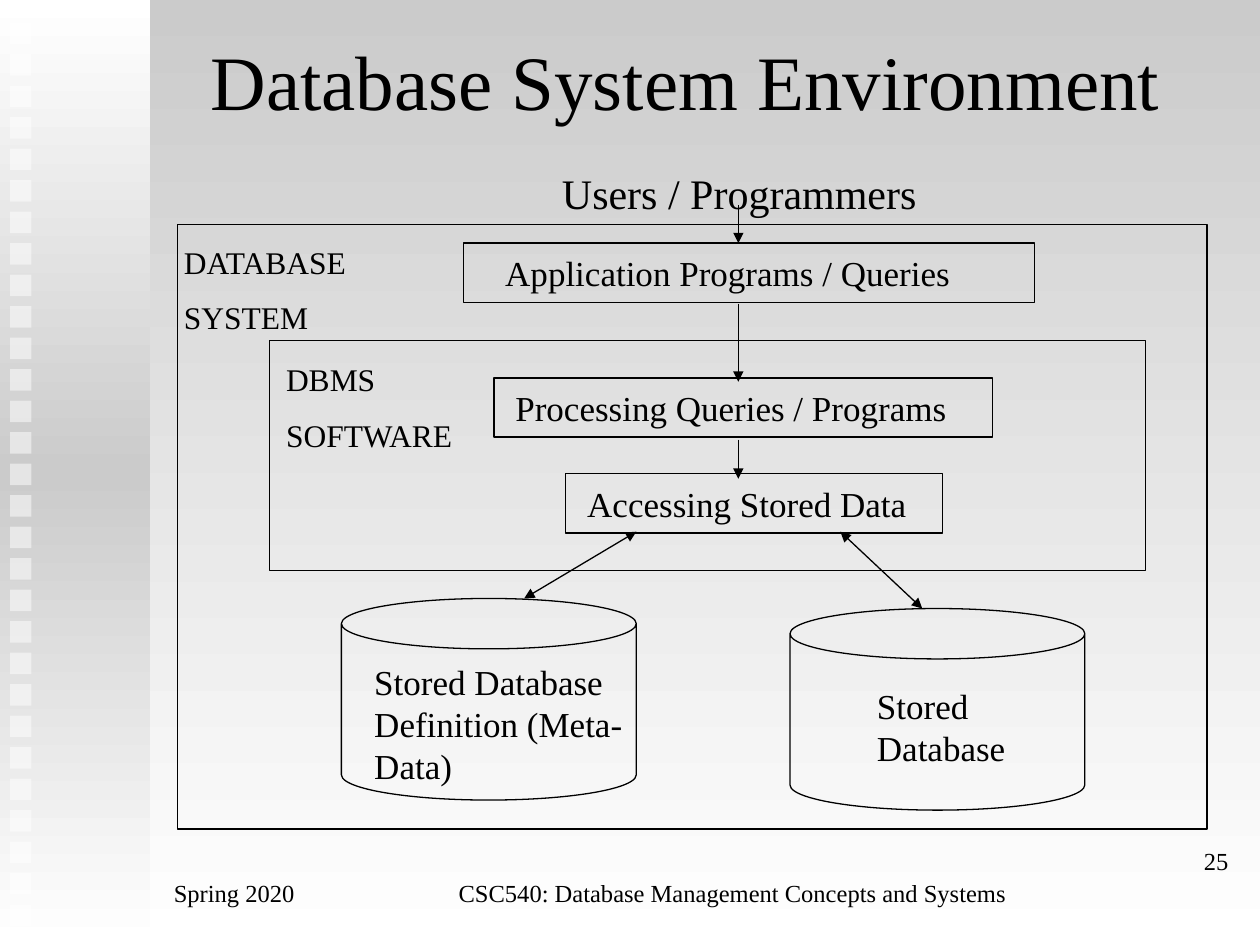
from copy import deepcopy

from lxml.etree import SubElement
from pptx import Presentation
from pptx.dml.color import RGBColor
from pptx.enum.shapes import MSO_CONNECTOR, MSO_SHAPE
from pptx.enum.text import MSO_ANCHOR, PP_ALIGN
from pptx.oxml.ns import qn
from pptx.util import Inches, Pt

COLORS = {"ink": "000000", "gray": "CBCBCB", "white": "FFFFFF"}
FONT = "Times New Roman"


def add_outline(kind, left, top, width, height):
    """Add an unfilled shape with a thin dark outline."""
    shape = slide.shapes.add_shape(
        kind, Inches(left), Inches(top), Inches(width), Inches(height))
    shape.shadow.inherit = False
    shape.fill.background()
    shape.line.color.rgb = RGBColor.from_string(COLORS["ink"])
    shape.line.width = Pt(0.75)
    return shape


def write(box, lines, size, anchor=MSO_ANCHOR.TOP, inset=0.05,
          align=PP_ALIGN.LEFT, gap=0):
    """Fill a shape with one paragraph per line."""
    frame = box.text_frame
    frame.word_wrap = True
    frame.vertical_anchor = anchor
    frame.margin_left = Inches(inset)
    frame.margin_right = frame.margin_top = frame.margin_bottom = 0
    for index, line in enumerate(lines):
        para = frame.add_paragraph() if index else frame.paragraphs[0]
        para.alignment = align
        if index:
            para.space_before = Pt(gap)
        span = para.add_run()
        span.text = line
        span.font.name = FONT
        span.font.size = Pt(size)
        span.font.color.rgb = RGBColor.from_string(COLORS["ink"])


deck = Presentation()
deck.slide_width, deck.slide_height = Inches(10), Inches(7.5)
slide = deck.slides.add_slide(deck.slide_layouts[5])

# Background and side band
background = slide.background.fill
background.gradient()
background.gradient_angle = 270
for stop, name in zip(background.gradient_stops, ("gray", "white")):
    stop.color.rgb = RGBColor.from_string(COLORS[name])

band = add_outline(MSO_SHAPE.RECTANGLE, 0, 0, 1.19, 7.5)
band.line.fill.background()
band.fill.gradient()
band.fill.gradient_angle = 270
stop_list = band._element.spPr.find(".//" + qn("a:gsLst"))
middle_stop = deepcopy(stop_list[0])
middle_stop.set("pos", "50000")
stop_list.insert(1, middle_stop)
for stop, name in zip(band.fill.gradient_stops, ("white", "gray", "white")):
    stop.color.rgb = RGBColor.from_string(COLORS[name])

for row in range(29):
    square = add_outline(MSO_SHAPE.RECTANGLE, 0.08, 0.18 + 0.25 * row, 0.17, 0.17)
    square.line.fill.background()
    square.fill.solid()
    square.fill.fore_color.rgb = RGBColor.from_string(COLORS["white"])
    tint = square._element.spPr.find(".//" + qn("a:srgbClr"))
    SubElement(tint, qn("a:alpha"), val="50000")

# Title
title = slide.shapes.title
title.left, title.top = Inches(1.67), Inches(0.17)
title.width, title.height = Inches(8), Inches(0.92)
write(title, ["Database System Environment"], 44, MSO_ANCHOR.MIDDLE, inset=0)

# Frames of the database system and the DBMS software
add_outline(MSO_SHAPE.RECTANGLE, 1.41, 1.78, 8.17, 4.8)
add_outline(MSO_SHAPE.RECTANGLE, 2.14, 2.7, 6.95, 1.83)

# Processing steps
for text, left, top, width, inset in (
    ("Application Programs / Queries", 3.68, 1.93, 4.53, 0.33),
    ("Processing Queries / Programs", 3.92, 3, 3.96, 0.17),
    ("Accessing Stored Data", 4.49, 3.76, 2.99, 0.17),
):
    step = add_outline(MSO_SHAPE.RECTANGLE, left, top, width, 0.47)
    write(step, [text], 20, MSO_ANCHOR.MIDDLE, inset)

# Stores
for left, top in ((2.71, 4.75), (6.27, 4.83)):
    add_outline(MSO_SHAPE.CAN, left, top, 2.34, 1.6)

# Free-standing labels
for lines, size, left, top, width, height in (
    (["Users / Programmers"], 24, 4.41, 1.33, 3.48, 0.4),
    (["DATABASE", "SYSTEM"], 18, 1.41, 1.93, 1.62, 0.76),
    (["DBMS", "SOFTWARE"], 18, 2.22, 2.86, 1.62, 0.76),
    (["Stored Database Definition (Meta-Data)"], 20, 2.92, 5.24, 2.08, 1),
    (["Stored Database"], 20, 6.91, 5.43, 1.45, 0.67),
):
    label = slide.shapes.add_textbox(
        Inches(left), Inches(top), Inches(width), Inches(height))
    write(label, lines, size, gap=10)

# Footer
for text, left, top, width, align in (
    ("25", 9.08, 6.68, 0.67, PP_ALIGN.RIGHT),
    ("Spring 2020", 1.38, 6.93, 1.5, PP_ALIGN.LEFT),
    ("CSC540: Database Management Concepts and Systems", 3.64, 6.93, 5.5,
     PP_ALIGN.LEFT),
):
    footer = slide.shapes.add_textbox(
        Inches(left), Inches(top), Inches(width), Inches(0.31))
    write(footer, [text], 14, MSO_ANCHOR.MIDDLE, 0, align)

# Arrows
for x1, y1, x2, y2, ends in (
    (5.86, 1.63, 5.86, 1.93, ["tailEnd"]),
    (5.86, 2.41, 5.86, 3.03, ["tailEnd"]),
    (5.86, 3.49, 5.86, 3.8, ["tailEnd"]),
    (5.05, 4.22, 4.16, 4.75, ["headEnd", "tailEnd"]),
    (6.67, 4.22, 7.32, 4.83, ["headEnd", "tailEnd"]),
):
    arrow = slide.shapes.add_connector(
        MSO_CONNECTOR.STRAIGHT, Inches(x1), Inches(y1), Inches(x2), Inches(y2))
    arrow.line.color.rgb = RGBColor.from_string(COLORS["ink"])
    arrow.line.width = Pt(0.75)
    for end in ends:
        SubElement(arrow.line._get_or_add_ln(), qn("a:" + end), type="triangle")
    SubElement(arrow._element.spPr, qn("a:effectLst"))

deck.save("out.pptx")
